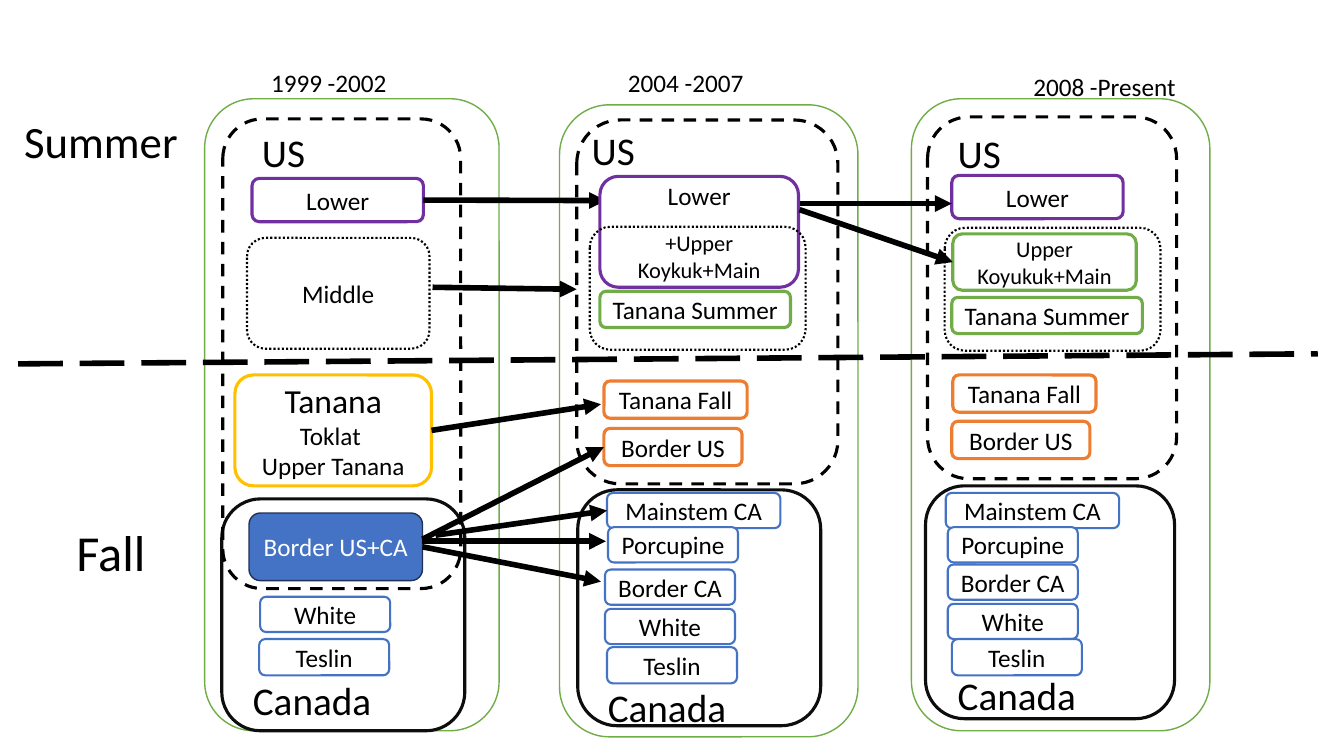
from dataclasses import dataclass
from typing import NamedTuple

from lxml import etree
from pptx import Presentation, util as u
from pptx.dml.color import RGBColor
from pptx.enum import dml, shapes, text
from pptx.oxml import ns


@dataclass(frozen=True)
class Theme:
    font: str = "Calibri"
    black: str = "000000"
    ink: str = "0D0D0D"
    white: str = "FFFFFF"
    navy: str = "1E3256"
    blue: str = "4472C4"
    green: str = "70AD47"
    purple: str = "7030A0"
    orange: str = "ED7D31"
    gold: str = "FFC000"
    note: int = 16
    body: int = 18
    heading: int = 24
    region: int = 28
    summer: int = 32
    fall: int = 36
    arrow: float = 4


class Look(NamedTuple):
    line: str
    width: float
    fill: str | None = None
    dash: dml.MSO_LINE | None = None
    font: str = "000000"


class Span(NamedTuple):
    words: str
    size: int
    before: float = 0


class Stock(NamedTuple):
    look: Look
    width: float
    height: float
    spans: tuple[Span, ...]


class Period(NamedTuple):
    label: tuple[str, float, float]
    panel: tuple[float, float, float, float]
    canada: tuple[float, float, float, float]
    canada_label: tuple[float, float]
    us: tuple[float, float, float, float]
    us_label: tuple[float, float]
    middle: tuple[float, float] | None
    stocks: dict[str, tuple[float, float]]


class Arrow(NamedTuple):
    start: tuple[float, float]
    end: tuple[float, float]
    source: tuple[int, str] | None = None
    target: tuple[int, str] | None = None


T = Theme()
PANEL = Look(T.green, 1, T.white)
CANADA = Look(T.ink, 2.25)
US = Look(T.black, 2.25, dash=dml.MSO_LINE.DASH)
MIDDLE = Look(T.black, 1.5, dash=dml.MSO_LINE.ROUND_DOT)
PURPLE, GREEN, ORANGE, GOLD = (
    Look(color, 2.25, T.white) for color in (T.purple, T.green, T.orange, T.gold))
BLUE = Look(T.blue, 1.5, T.white)


def plain(look: Look, width: float, height: float, words: str, size: int = T.body) -> Stock:
    return Stock(look, width, height, (Span(words, size),))


STOCKS = {
    "Lower": plain(PURPLE, 1.7, 0.43, "Lower"),
    "Lower+Upper": Stock(PURPLE, 1.97, 1.1, (
        Span("Lower", T.body), Span("+Upper Koykuk+Main", T.note, 13.4))),
    "Middle": plain(MIDDLE._replace(fill=T.white), 1.81, 1.1, "Middle"),
    "Upper": plain(GREEN, 1.82, 0.56, "Upper Koyukuk+Main", T.note),
    "Tanana": Stock(GOLD, 1.95, 1.1, (
        Span("Tanana", T.heading), Span("Toklat ", T.body), Span("Upper Tanana", T.body))),
    "Border US+CA": plain(Look(T.navy, 1, T.blue, font=T.white), 1.72, 0.67, "Border US+CA"),
    "Tanana Summer": plain(GREEN, 1.89, 0.36, "Tanana Summer"),
    "Tanana Fall": plain(ORANGE, 1.42, 0.37, "Tanana Fall"),
    "Border US": plain(ORANGE, 1.37, 0.37, "Border US"),
    "Mainstem CA": plain(BLUE, 1.72, 0.35, "Mainstem CA"),
    "Porcupine": plain(BLUE, 1.29, 0.35, "Porcupine"),
    "Border CA": plain(BLUE, 1.29, 0.35, "Border CA"),
    "White": plain(BLUE, 1.29, 0.35, "White"),
    "Teslin": plain(BLUE, 1.29, 0.36, "Teslin"),
}

PERIODS = (
    Period(("1999 -2002", 2.59, 0.62), (2.03, 0.98, 2.92, 6.27),
           (2.2, 4.95, 2.41, 2.3), (2.41, 6.66), (2.21, 1.18, 2.36, 4.66), (2.5, 1.22), None,
           {"Middle": (2.45, 2.36), "Lower": (2.5, 1.77), "Tanana": (2.33, 3.72),
            "Border US+CA": (2.47, 5.09), "White": (2.58, 5.92), "Teslin": (2.57, 6.34)}),
    Period(("2004 -2007", 6.13, 0.62), (5.55, 1.04, 2.96, 6.27),
           (5.73, 4.86, 2.41, 2.34), (5.93, 6.73), (5.72, 1.19, 2.59, 3.61), (5.77, 1.2),
           (5.85, 2.25),
           {"Lower+Upper": (5.95, 1.75), "Tanana Summer": (5.95, 2.89),
            "Tanana Fall": (5.99, 3.78), "Border US": (5.99, 4.25),
            "Mainstem CA": (6.02, 4.89), "Porcupine": (6.03, 5.23), "Border CA": (6, 5.65),
            "White": (6, 6.04), "Teslin": (6.02, 6.42)}),
    Period(("2008 -Present", 10.15, 0.66), (9.04, 0.98, 2.96, 6.27),
           (9.18, 4.82, 2.47, 2.31), (9.4, 6.61), (9.2, 1.16, 2.47, 3.59), (9.4, 1.23),
           (9.37, 2.26),
           {"Lower": (9.44, 1.74), "Upper": (9.45, 2.32), "Tanana Summer": (9.44, 2.95),
            "Tanana Fall": (9.45, 3.72), "Border US": (9.44, 4.18),
            "Mainstem CA": (9.38, 4.89), "Porcupine": (9.4, 5.23), "Border CA": (9.4, 5.6),
            "White": (9.4, 5.99), "Teslin": (9.44, 6.34)}),
)

# The first arrow tucks its head under the 2004 box
LOWER_ARROW = Arrow((4.2, 1.99), (6.01, 1.99), (0, "Lower"))
ARROWS = (
    Arrow((4.29, 2.85), (5.72, 2.87)),
    Arrow((7.93, 2.02), (9.44, 2.02)),
    Arrow((7.93, 2.08), (9.45, 2.6), target=(2, "Upper")),
    Arrow((4.28, 4.27), (5.96, 4.01), (0, "Tanana")),
    Arrow((4.19, 5.42), (5.96, 5.77), (0, "Border US+CA")),
    Arrow((4.19, 5.37), (6.01, 5.37)),
    Arrow((4.19, 5.35), (5.99, 4.44), target=(1, "Border US")),
    Arrow((4.32, 5.31), (6.02, 5.07), target=(1, "Mainstem CA")),
)


def size(inches: float) -> u.Length:
    return u.Cm(inches * 2.54)


def write(frame, spans: tuple[Span, ...], color: str, align: text.PP_ALIGN) -> None:
    for index, item in enumerate(spans):
        para = frame.add_paragraph() if index else frame.paragraphs[0]
        para.alignment = align
        para.space_before = u.Pt(item.before)
        span = para.add_run()
        span.text = item.words
        span.font.name, span.font.size = T.font, u.Pt(item.size)
        span.font.color.rgb = RGBColor.from_string(color)


def add_box(page, place: tuple[float, ...], look: Look, spans: tuple[Span, ...] = ()):
    box = page.shapes.add_shape(shapes.MSO_SHAPE.ROUNDED_RECTANGLE, *map(size, place))
    box.shadow.inherit = False
    if look.fill:
        box.fill.solid()
        box.fill.fore_color.rgb = RGBColor.from_string(look.fill)
    else:
        box.fill.background()
    box.line.color.rgb = RGBColor.from_string(look.line)
    box.line.width = u.Pt(look.width)
    if look.dash:
        box.line.dash_style = look.dash
    box.text_frame.vertical_anchor = text.MSO_ANCHOR.MIDDLE
    write(box.text_frame, spans, look.font, text.PP_ALIGN.CENTER)
    return box


def add_label(page, words: str, points: int, left: float, top: float, width: float) -> None:
    box = page.shapes.add_textbox(*map(size, (left, top, width, points / 60 + 0.1)))
    box.text_frame.word_wrap = False
    box.text_frame.auto_size = text.MSO_AUTO_SIZE.SHAPE_TO_FIT_TEXT
    write(box.text_frame, (Span(words, points),), T.black, text.PP_ALIGN.LEFT)


def add_line(page, start: tuple[float, float], end: tuple[float, float]):
    line = page.shapes.add_connector(shapes.MSO_CONNECTOR.STRAIGHT, *map(size, start + end))
    line.line.color.rgb = RGBColor.from_string(T.black)
    line.line.width = u.Pt(T.arrow)
    etree.SubElement(line._element.spPr, ns.qn("a:effectLst"))
    return line


def add_arrow(page, arrow: Arrow, boxes: dict) -> None:
    line = add_line(page, arrow.start, arrow.end)
    etree.SubElement(line.line._get_or_add_ln(), ns.qn("a:tailEnd"), type="triangle")
    if arrow.source:
        line.begin_connect(boxes[arrow.source], 3)
    if arrow.target:
        line.end_connect(boxes[arrow.target], 1)


def main() -> None:
    deck = Presentation()
    deck.slide_width, deck.slide_height = size(13.33), size(7.5)
    page = deck.slides.add_slide(deck.slide_layouts[6])
    # Period panels with their countries
    for period in PERIODS:
        add_box(page, period.panel, PANEL)
        words, left, top = period.label
        add_label(page, words, T.body, left, top, 1.69 if "Present" in words else 1.36)
        add_box(page, period.canada, CANADA)
        add_label(page, "Canada", T.region, *period.canada_label, 2.08)
        add_box(page, period.us, US)
        add_label(page, "US", T.region, *period.us_label, 0.72)
    # Season divider and names
    add_line(page, (0.18, 3.61), (13.07, 3.51)).line.dash_style = dml.MSO_LINE.LONG_DASH
    add_label(page, "Summer", T.summer, 0.14, 1.08, 1.74)
    add_label(page, "Fall", T.fall, 0.66, 5.12, 0.89)
    # Stock boxes
    boxes = {}
    for index, period in enumerate(PERIODS):
        for name, place in period.stocks.items():
            stock = STOCKS[name]
            boxes[index, name] = add_box(
                page, (*place, stock.width, stock.height), stock.look, stock.spans)
        if period.middle:
            add_box(page, (*period.middle, 2.14, 1.22), MIDDLE)
        else:
            add_arrow(page, LOWER_ARROW, boxes)
    # Links between periods
    for arrow in ARROWS:
        add_arrow(page, arrow, boxes)
    deck.save("out.pptx")


if __name__ == "__main__":
    main()
